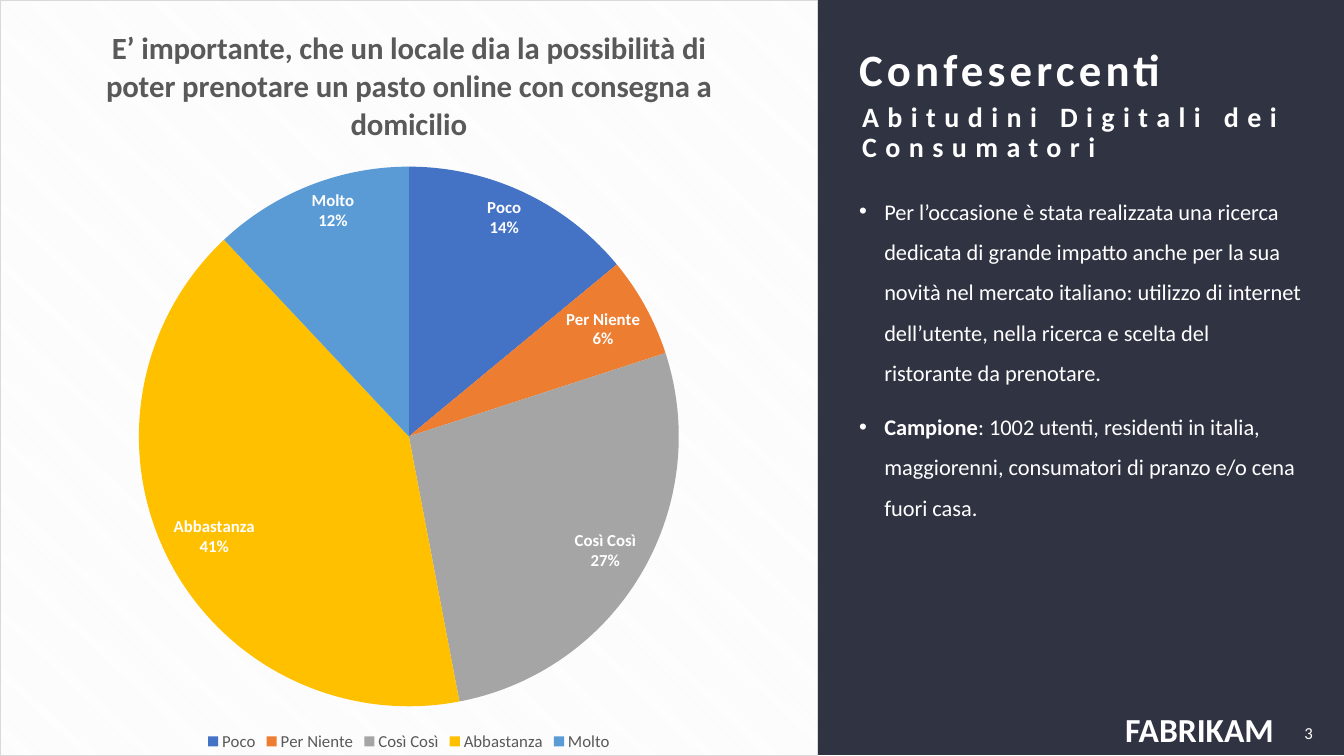
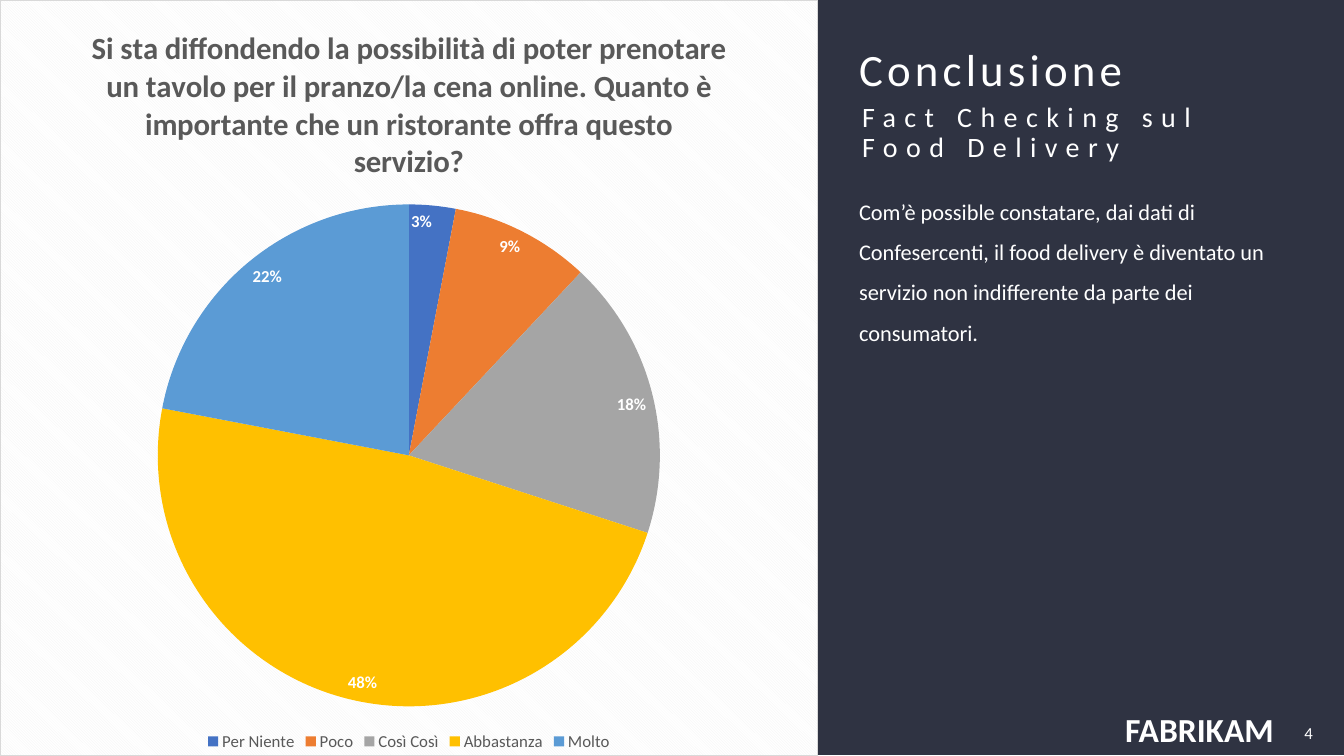
from dataclasses import dataclass
from typing import Any

from lxml import etree
from pptx import Presentation
from pptx import util as u
from pptx.chart import data
from pptx.dml import color
from pptx.enum import chart as charts
from pptx.enum import shapes, text
from pptx.oxml import ns, parse_xml

FONT = "Calibri"
COLORS = {
    "band": "2F3342",
    "white": "FFFFFF",
    "ink": "595959",
    "stripe": "F2F2F2",
    "border": "D9D9D9",
}
SLICES = ["4472C4", "ED7D31", "A5A5A5", "FFC000", "5B9BD5"]
CELL = 0.1
TWO_CONTENT = 3


@dataclass(frozen=True)
class Area:
    column: float
    row: float
    columns: float
    rows: float

    def lengths(self) -> list[int]:
        return [u.Inches(n * CELL) for n in (self.column, self.row, self.columns, self.rows)]


@dataclass(frozen=True)
class Span:
    text: str
    bold: bool = False


@dataclass(frozen=True)
class Style:
    size: float
    line: float = 1.0
    tracking: int = 0
    bullet: bool = False
    align: Any = text.PP_ALIGN.LEFT


@dataclass(frozen=True)
class Survey:
    question: str
    answers: dict[str, int]
    show_names: bool


@dataclass(frozen=True)
class Page:
    number: int
    title: Span
    subtitle: Span
    body: list[list[Span]]
    bullets: bool
    survey: Survey


CHART = Area(0, 0, 81.1, 75)
BAND = Area(81.1, 0, 52.2, 74.9)
TITLE = Area(85.2, 4, 43.9, 6.3)
SUBTITLE = Area(85.5, 11, 43.7, 4.5)
BODY = Area(85.2, 17.8, 43.9, 50.7)
BRAND = Area(111.4, 70.1, 15.3, 4.5)
NUMBER = Area(126.3, 70.7, 4.9, 4)

PAGES = [
    Page(
        3,
        Span("Confesercenti", True),
        Span("Abitudini Digitali dei Consumatori", True),
        [
            [Span(
                "Per l’occasione è stata realizzata una ricerca dedicata di grande impatto "
                "anche per la sua novità nel mercato italiano: utilizzo di internet "
                "dell’utente, nella ricerca e scelta del ristorante da prenotare."
            )],
            [
                Span("Campione", True),
                Span(
                    ": 1002 utenti, residenti in italia, maggiorenni, "
                    "consumatori di pranzo e/o cena fuori casa."
                ),
            ],
        ],
        True,
        Survey(
            "E’ importante, che un locale dia la possibilità di poter prenotare "
            "un pasto online con consegna a domicilio",
            {"Poco": 14, "Per Niente": 6, "Così Così": 27, "Abbastanza": 41, "Molto": 12},
            True,
        ),
    ),
    Page(
        4,
        Span("Conclusione"),
        Span("Fact Checking sul Food Delivery"),
        [[Span(
            "Com’è possible constatare, dai dati di Confesercenti, il food delivery è "
            "diventato un servizio non indifferente da parte dei consumatori."
        )]],
        False,
        Survey(
            "Si sta diffondendo la possibilità di poter prenotare un tavolo per il "
            "pranzo/la cena online. Quanto è importante che un ristorante offra "
            "questo servizio?",
            {"Per Niente": 3, "Poco": 9, "Così Così": 18, "Abbastanza": 48, "Molto": 22},
            False,
        ),
    ),
]


def rgb(name: str) -> color.RGBColor:
    return color.RGBColor.from_string(COLORS.get(name, name))


def set_font(font: Any, size: float, name: str, bold: bool = False) -> None:
    font.name = FONT
    font.size = u.Pt(size)
    font.bold = bold
    font.color.rgb = rgb(name)


def set_bullet(para: Any, shown: bool) -> None:
    properties = para._p.get_or_add_pPr()
    indent = u.Inches(0.25) if shown else 0
    properties.set("marL", str(indent))
    properties.set("indent", str(-indent))
    if shown:
        etree.SubElement(properties, ns.qn("a:buFont")).set("typeface", "Arial")
        etree.SubElement(properties, ns.qn("a:buChar")).set("char", "•")
    else:
        etree.SubElement(properties, ns.qn("a:buNone"))


def write(
    box: Any,
    area: Area,
    paragraphs: list[list[Span]],
    style: Style,
    anchor: Any = text.MSO_ANCHOR.MIDDLE,
    side: float = 0,
    edge: float = 0.05,
    wrap: bool = True,
) -> None:
    box.left, box.top, box.width, box.height = area.lengths()
    frame = box.text_frame
    frame.auto_size = text.MSO_AUTO_SIZE.NONE
    frame.word_wrap = wrap
    frame.vertical_anchor = anchor
    frame.margin_left = frame.margin_right = u.Inches(side)
    frame.margin_top = frame.margin_bottom = u.Inches(edge)
    for index, spans in enumerate(paragraphs):
        para = frame.add_paragraph() if index else frame.paragraphs[0]
        set_bullet(para, style.bullet)
        para.alignment = style.align
        para.line_spacing = style.line
        para.space_before = u.Pt(10 if index else 0)
        for span in spans:
            run = para.add_run()
            run.text = span.text
            set_font(run.font, style.size, "white", span.bold)
            if style.tracking:
                run.font._element.set("spc", str(style.tracking * 100))


def add_shared_parts(slide: Any) -> None:
    band = slide.shapes.add_shape(shapes.MSO_SHAPE.RECTANGLE, *BAND.lengths())
    band.shadow.inherit = False
    band.fill.solid()
    band.fill.fore_color.rgb = rgb("band")
    band.line.fill.background()
    brand = slide.shapes.add_textbox(*BRAND.lengths())
    write(brand, BRAND, [[Span("FABRIKAM", True)]], Style(24), side=0.02, edge=0.02, wrap=False)
    for part in (band, brand):
        slide.slide_layout.shapes.element.append(part.element)


def add_pie(slide: Any, survey: Survey) -> None:
    table = data.CategoryChartData()
    table.categories = list(survey.answers)
    table.add_series(survey.question, list(survey.answers.values()))
    kind = charts.XL_CHART_TYPE.PIE
    pie = slide.shapes.add_chart(kind, *CHART.lengths(), table).chart
    set_font(pie.font, 10, "000000")

    pie.has_title = True
    title = pie.chart_title.text_frame.paragraphs[0].add_run()
    title.text = survey.question
    set_font(title.font, 22, "ink", True)
    pie.chart_title.include_in_layout = False

    pie.has_legend = True
    pie.legend.position = charts.XL_LEGEND_POSITION.BOTTOM
    pie.legend.include_in_layout = False
    set_font(pie.legend.font, 12, "ink")

    pie.plots[0].vary_by_categories = True
    series = pie.plots[0].series[0]
    for index, shade in enumerate(SLICES):
        fill = series.points[index].format.fill
        fill.solid()
        fill.fore_color.rgb = rgb(shade)

    labels = series.data_labels
    labels.show_value = False
    labels.show_percentage = True
    labels.show_category_name = survey.show_names
    labels.number_format = "0%"
    labels.number_format_is_linked = False
    labels.position = charts.XL_LABEL_POSITION.INSIDE_END
    set_font(labels.font, 12, "white", True)
    separator = etree.Element(ns.qn("c:separator"))
    separator.text = "\n"
    labels._element.find(ns.qn("c:showBubbleSize")).addnext(separator)

    backdrop = parse_xml(
        f'<c:spPr {ns.nsdecls("c", "a")}><a:pattFill prst="dkDnDiag">'
        f'<a:fgClr><a:srgbClr val="{COLORS["stripe"]}"/></a:fgClr>'
        f'<a:bgClr><a:srgbClr val="{COLORS["white"]}"/></a:bgClr></a:pattFill>'
        f'<a:ln w="{u.Pt(0.75)}"><a:solidFill><a:srgbClr val="{COLORS["border"]}"/>'
        "</a:solidFill></a:ln></c:spPr>"
    )
    pie.element.find(ns.qn("c:chart")).addnext(backdrop)


def add_page(slide: Any, page: Page) -> None:
    title, subtitle, body = slide.placeholders
    write(title, TITLE, [[page.title]], Style(32, 0.9, 3))
    write(subtitle, SUBTITLE, [[page.subtitle]], Style(20, 0.9, 6))
    write(body, BODY, page.body, Style(16, 1.5, bullet=page.bullets), text.MSO_ANCHOR.TOP)
    number = slide.shapes.add_textbox(*NUMBER.lengths())
    right = Style(12, align=text.PP_ALIGN.RIGHT)
    write(number, NUMBER, [[Span(str(page.number))]], right, side=0.1)
    add_pie(slide, page.survey)


def main() -> None:
    deck = Presentation()
    deck.slide_width = u.Inches(13.33)
    deck.slide_height = u.Inches(7.5)
    layout = deck.slide_layouts[TWO_CONTENT]
    for index, page in enumerate(PAGES):
        slide = deck.slides.add_slide(layout)
        if index == 0:
            add_shared_parts(slide)
        add_page(slide, page)
    deck.save("out.pptx")


if __name__ == "__main__":
    main()
